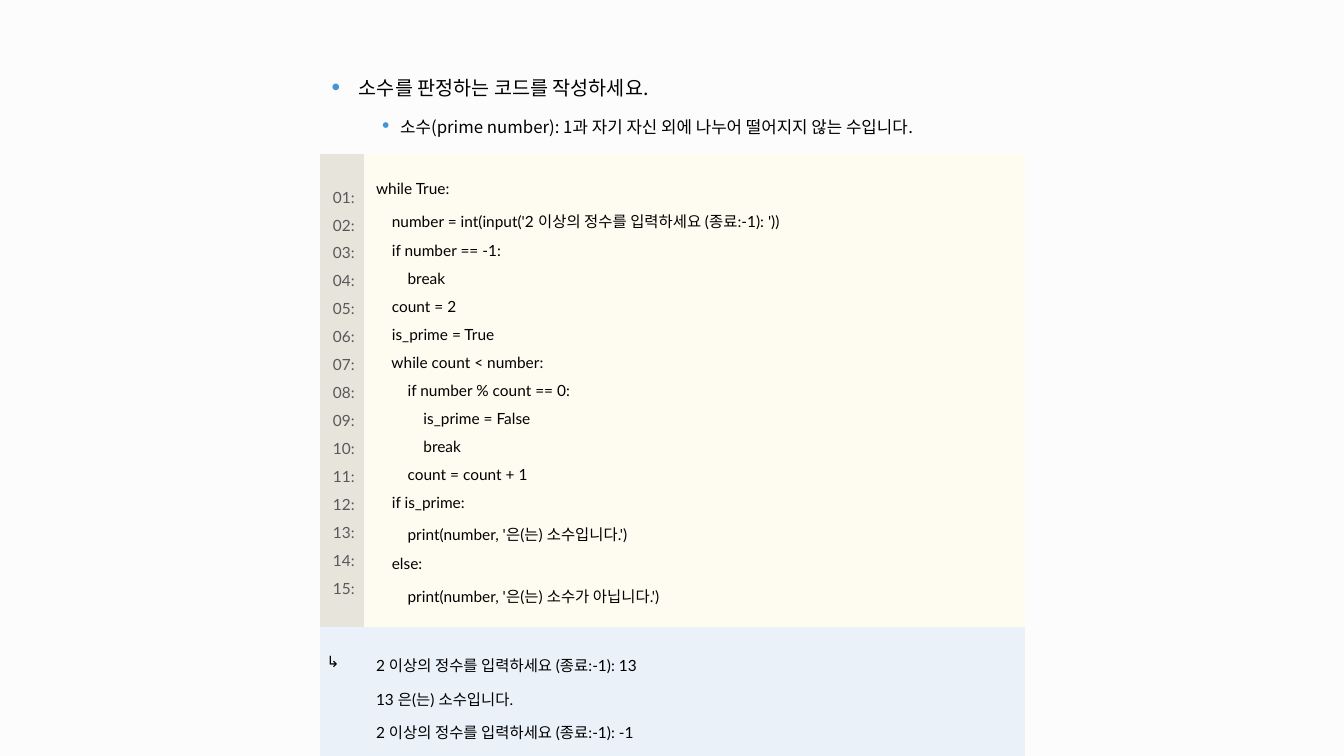
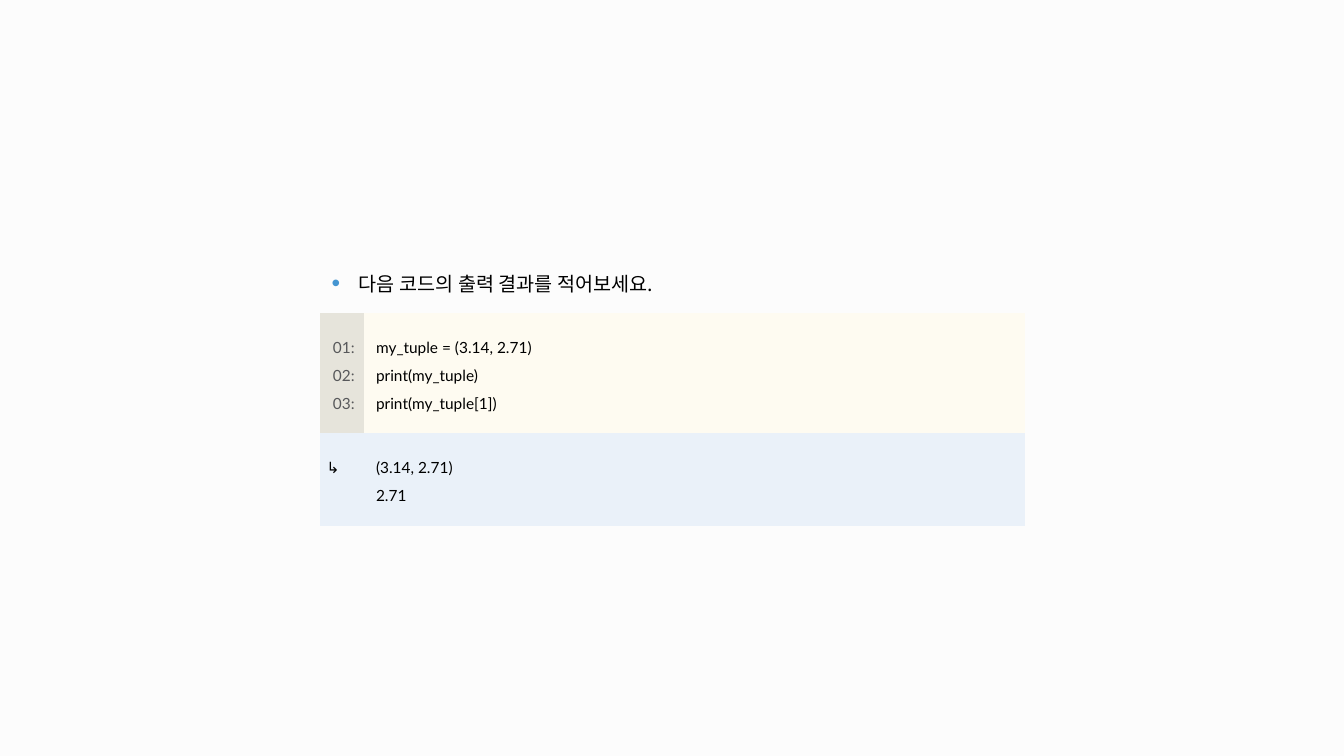
from lxml import etree
from pptx import Presentation
from pptx.dml.color import RGBColor
from pptx.enum import text
from pptx.oxml.ns import qn
from pptx.util import Inches, Pt

# Shared colours and fonts
PAPER = RGBColor(0xFC, 0xFC, 0xFC)
INK = RGBColor(0, 0, 0)
GREY = RGBColor(0x57, 0x58, 0x5A)
GUTTER = RGBColor(0xE6, 0xE4, 0xDB)
CREAM = RGBColor(0xFE, 0xFB, 0xF1)
SKY = RGBColor(0xEA, 0xF1, 0xF9)
BULLET = RGBColor(0x44, 0x95, 0xD1)
LATIN, KOREAN = "Lato", "Noto Sans CJK KR"
PLAIN_TABLE = "{2D5ABB26-0587-4C30-8999-92F81FD0307C}"

# Margin and hanging indent in inches, and text size, for each bullet level
LEVELS = [(0.27, 0.27, 14), (0.68, 0.18, 12)]
# Cell insets: left, top, bottom
TASK_INSETS = (0.12, 0.04, 0.16)
NUMBER_INSETS = (0.04, 0.04, 0.08)
CODE_INSETS = (0.12, 0.16, 0.2)
ARROW_INSETS = (0.07, 0.16, 0.2)


class Deck:
    def __init__(self):
        self.prs = Presentation()
        self.prs.slide_width = Inches(13.33)
        self.prs.slide_height = Inches(7.5)
        fill = self.prs.slide_master.background.fill
        fill.solid()
        fill.fore_color.rgb = PAPER
        self.s = None

    def new_slide(self):
        self.s = self.prs.slides.add_slide(self.prs.slide_layouts[6])

    def table(self, top, heights):
        frame = self.s.shapes.add_table(
            3, 2, Inches(3.17), Inches(top), Inches(7), Inches(sum(heights)))
        table = frame.table
        table.first_row = table.horz_banding = False
        table._tbl.tblPr.find(qn("a:tableStyleId")).text = PLAIN_TABLE
        for column, width in zip(table.columns, (0.44, 6.56)):
            column.width = Inches(width)
        for row, height in zip(table.rows, heights):
            row.height = Inches(height)
        return table

    def cell(self, cell, insets, fill=None, anchor=text.MSO_ANCHOR.MIDDLE):
        left, top, bottom = insets
        cell.margin_left, cell.margin_right = Inches(left), 0
        cell.margin_top, cell.margin_bottom = Inches(top), Inches(bottom)
        cell.vertical_anchor = anchor
        if fill is None:
            cell.fill.background()
        else:
            cell.fill.solid()
            cell.fill.fore_color.rgb = fill
        return cell.text_frame

    def bullet(self, p, level):
        margin, hang, _ = LEVELS[level]
        p.level = level
        pPr = p._p.get_or_add_pPr()
        pPr.set("marL", str(Inches(margin)))
        pPr.set("indent", str(-Inches(hang)))
        colour = etree.SubElement(pPr, qn("a:buClr"))
        etree.SubElement(colour, qn("a:srgbClr"), val=str(BULLET))
        etree.SubElement(pPr, qn("a:buSzPct"), val="125000")
        etree.SubElement(pPr, qn("a:buFont"), typeface="Arial")
        etree.SubElement(pPr, qn("a:buChar"), char="•")

    def lines(self, tf, lines, font=LATIN, colour=INK, align=None, bullets=False):
        for i, line in enumerate(lines):
            p = tf.paragraphs[0] if i == 0 else tf.add_paragraph()
            if bullets:
                self.bullet(p, i)
            p.line_spacing = 1.5
            p.alignment = align
            r = p.add_run()
            r.text = line
            r.font.size = Pt(LEVELS[i][2] if bullets else 11)
            r.font.name = font
            r.font.color.rgb = colour
            latin = r._r.rPr.find(qn("a:latin"))
            latin.addnext(etree.Element(qn("a:ea"), typeface=KOREAN))

    def exercise(self, top, heights, task, code, output):
        self.new_slide()
        table = self.table(top, heights)

        # Task across both columns
        head = table.cell(0, 0)
        head.merge(table.cell(0, 1))
        self.lines(self.cell(head, TASK_INSETS), task, font=KOREAN, bullets=True)

        # Line numbers and code
        numbers = [f"{n:02}:" for n in range(1, len(code) + 1)]
        self.lines(self.cell(table.cell(1, 0), NUMBER_INSETS, GUTTER), numbers,
                   colour=GREY, align=text.PP_ALIGN.CENTER)
        self.lines(self.cell(table.cell(1, 1), CODE_INSETS, CREAM), code)

        # Output
        arrow = self.cell(table.cell(2, 0), ARROW_INSETS, SKY, text.MSO_ANCHOR.TOP)
        self.lines(arrow, ["↳"])
        self.lines(self.cell(table.cell(2, 1), CODE_INSETS, SKY), output)


PRIME_CODE = """\
while True:
    number = int(input('2 이상의 정수를 입력하세요 (종료:-1): '))
    if number == -1:
        break
    count = 2
    is_prime = True
    while count < number:
        if number % count == 0:
            is_prime = False
            break
        count = count + 1
    if is_prime:
        print(number, '은(는) 소수입니다.')
    else:
        print(number, '은(는) 소수가 아닙니다.')"""

TUPLE_CODE = """\
my_tuple = (3.14, 2.71)
print(my_tuple)
print(my_tuple[1])"""


def main():
    deck = Deck()

    # Slide 1: prime numbers
    deck.exercise(
        0.54, (0.98, 4.68, 1.3),
        ["소수를 판정하는 코드를 작성하세요.",
         "소수(prime number): 1과 자기 자신 외에 나누어 떨어지지 않는 수입니다."],
        PRIME_CODE.splitlines(),
        ["2 이상의 정수를 입력하세요 (종료:-1): 13",
         "13 은(는) 소수입니다.",
         "2 이상의 정수를 입력하세요 (종료:-1): -1"])

    # Slide 2: tuples
    deck.exercise(
        2.48, (0.62, 1.19, 0.9),
        ["다음 코드의 출력 결과를 적어보세요."],
        TUPLE_CODE.splitlines(),
        ["(3.14, 2.71)", "2.71"])

    deck.prs.save("out.pptx")


if __name__ == "__main__":
    main()
